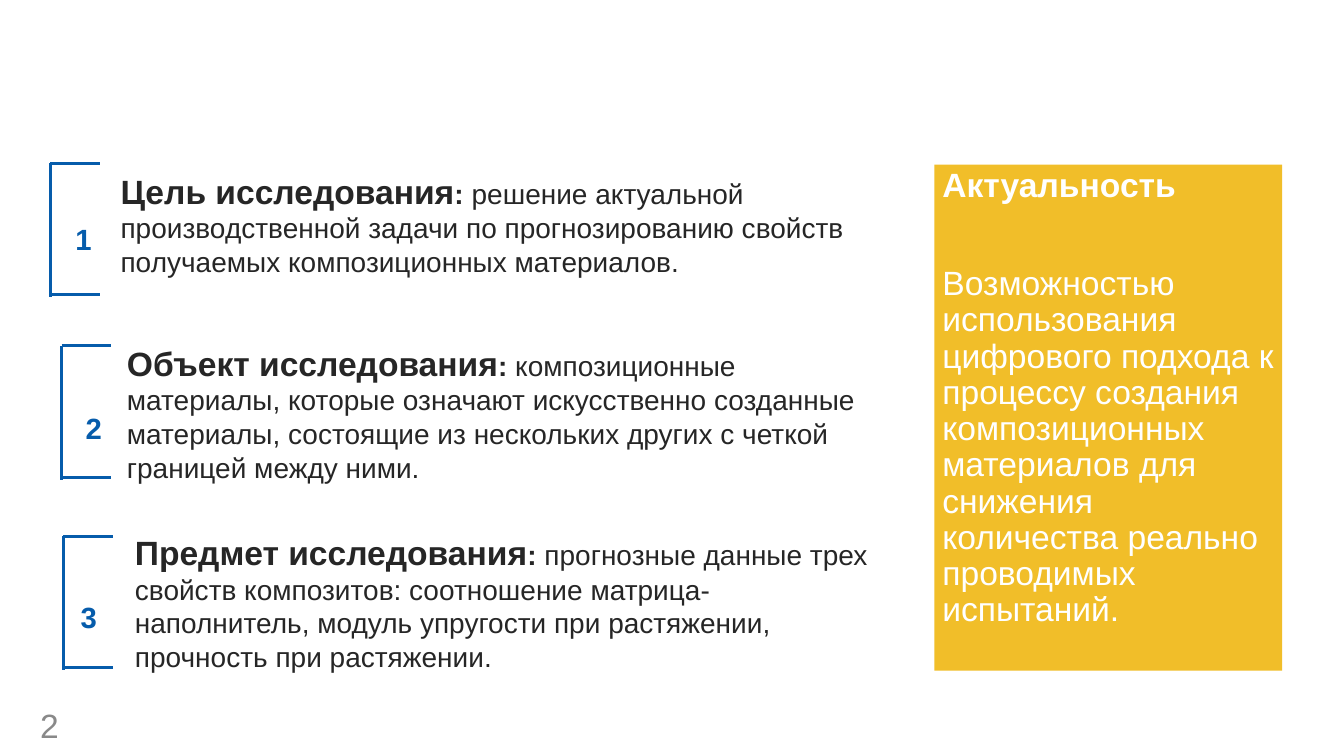
from lxml.etree import SubElement
from pptx import Presentation
from pptx.dml.color import RGBColor
from pptx.enum.shapes import MSO_CONNECTOR, MSO_SHAPE
from pptx.enum.text import MSO_ANCHOR, MSO_AUTO_SIZE, PP_ALIGN
from pptx.oxml.ns import qn
from pptx.util import Cm, Pt

BLUE, DARK, GOLD, WHITE, GREY = "065CAB", "262626", "F1BE29", "FFFFFF", "898989"
BRACKET_WIDTH, BRACKET_HEIGHT, LOWER_ARM = 1.25, 3.38, 3.32


def add_run(paragraph, text, size, color, bold=False):
    run = paragraph.add_run()
    run.text = text
    for name, value in {"name": "Arial", "size": Pt(size), "bold": bold}.items():
        setattr(run.font, name, value)
    run.font.color.rgb = RGBColor.from_string(color)
    return run


def add_text_frame(left, top, width, height):
    """Add a wrapping text box and return its text frame."""
    box = slide.shapes.add_textbox(Cm(left), Cm(top), Cm(width), Cm(height))
    box.text_frame.word_wrap = True
    return box.text_frame


presentation = Presentation()
presentation.slide_width, presentation.slide_height = Cm(33.87), Cm(19.05)
slide = presentation.slides.add_slide(presentation.slide_layouts[6])

# Slide number
page_number = add_text_frame(0.76, 17.88, 1.57, 0.76)
page_number.vertical_anchor = MSO_ANCHOR.MIDDLE
add_run(page_number.paragraphs[0], "2", 24, GREY)

# Relevance panel
relevance = slide.shapes.add_shape(
    MSO_SHAPE.RECTANGLE, Cm(23.55), Cm(4.15), Cm(8.76), Cm(12.75))
relevance.shadow.inherit = False
relevance.fill.solid()
relevance.fill.fore_color.rgb = RGBColor.from_string(GOLD)
relevance.line.fill.background()
panel_format = {
    "word_wrap": True, "vertical_anchor": MSO_ANCHOR.TOP,
    "margin_left": Cm(0.2), "margin_right": Cm(0.2),
    "margin_top": Cm(0.1), "margin_bottom": Cm(0.1),
}
for name, value in panel_format.items():
    setattr(relevance.text_frame, name, value)
heading = relevance.text_frame.paragraphs[0]
reason = relevance.text_frame.add_paragraph()
for paragraph in (heading, reason):
    paragraph.alignment = PP_ALIGN.LEFT
    paragraph.line_spacing = 0.9
reason.space_before = Pt(44)
add_run(heading, "Актуальность", 24, WHITE, bold=True)
add_run(reason, "Возможностью использования цифрового подхода к процессу создания "
        "композиционных материалов для снижения количества реально проводимых "
        "испытаний.", 24, WHITE)

# Numbered statements: bracket corner, number corner, statement box, term, text
statements = [
    ((1.27, 4.11), (1.65, 5.31), (2.79, 4.17, 19.08, 3.0), "Цель исследования",
     "решение актуальной производственной задачи по прогнозированию свойств "
     "получаемых композиционных материалов."),
    ((1.55, 8.71), (1.91, 10.06), (2.95, 8.51, 19.46, 3.84), "Объект исследования",
     "композиционные материалы, которые означают искусственно созданные материалы, "
     "состоящие из нескольких других с четкой границей между ними."),
    ((1.6, 13.51), (1.78, 14.83), (3.15, 13.28, 19.08, 3.84), "Предмет исследования",
     "прогнозные данные трех свойств композитов: соотношение матрица-наполнитель, "
     "модуль упругости при растяжении, прочность при растяжении."),
]
for number, (corner, number_corner, area, term, explanation) in enumerate(statements, 1):
    left, top = corner
    right = left + BRACKET_WIDTH
    bracket = slide.shapes.add_group_shape()
    for x1, y1, x2, y2 in (
        (left, top, left, top + BRACKET_HEIGHT),
        (left, top, right, top),
        (left, top + LOWER_ARM, right, top + LOWER_ARM),
    ):
        side = bracket.shapes.add_connector(
            MSO_CONNECTOR.STRAIGHT, Cm(x1), Cm(y1), Cm(x2), Cm(y2))
        side.line.color.rgb = RGBColor.from_string(BLUE)
        side.line.width = Pt(2.25)
        SubElement(side._element.spPr, qn("a:effectLst"))

    statement = add_text_frame(*area)
    statement.auto_size = MSO_AUTO_SIZE.SHAPE_TO_FIT_TEXT
    add_run(statement.paragraphs[0], term, 24, DARK, bold=True)
    add_run(statement.paragraphs[0], ": ", 20, DARK, bold=True)
    add_run(statement.paragraphs[0], explanation, 20, DARK)

    number_frame = add_text_frame(*number_corner, 3.0, 1.27)
    number_frame.auto_size = MSO_AUTO_SIZE.SHAPE_TO_FIT_TEXT
    digit = add_run(number_frame.paragraphs[0], str(number), 36, BLUE, bold=True)
    digit.font._element.set("baseline", "30000")

presentation.save("out.pptx")
